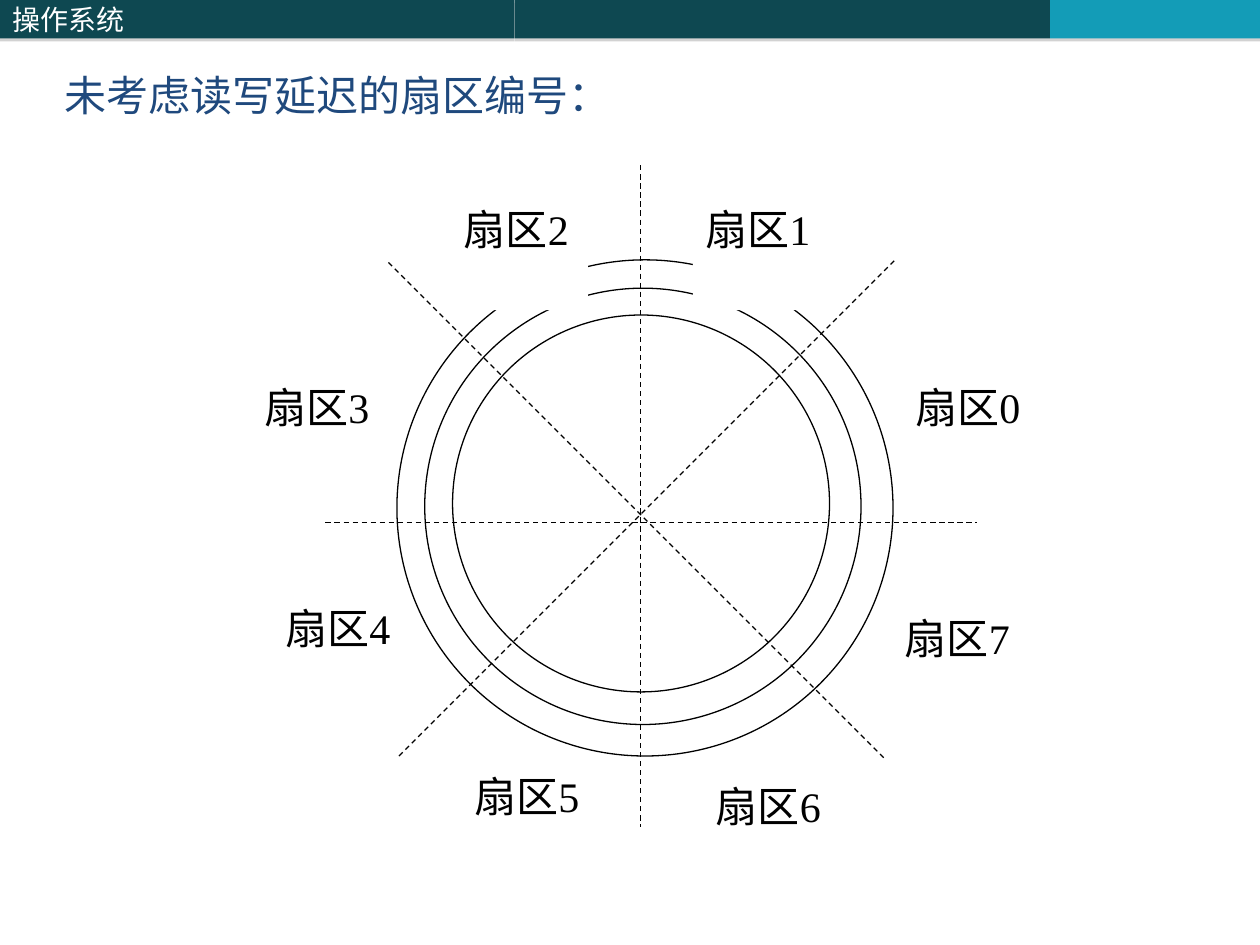
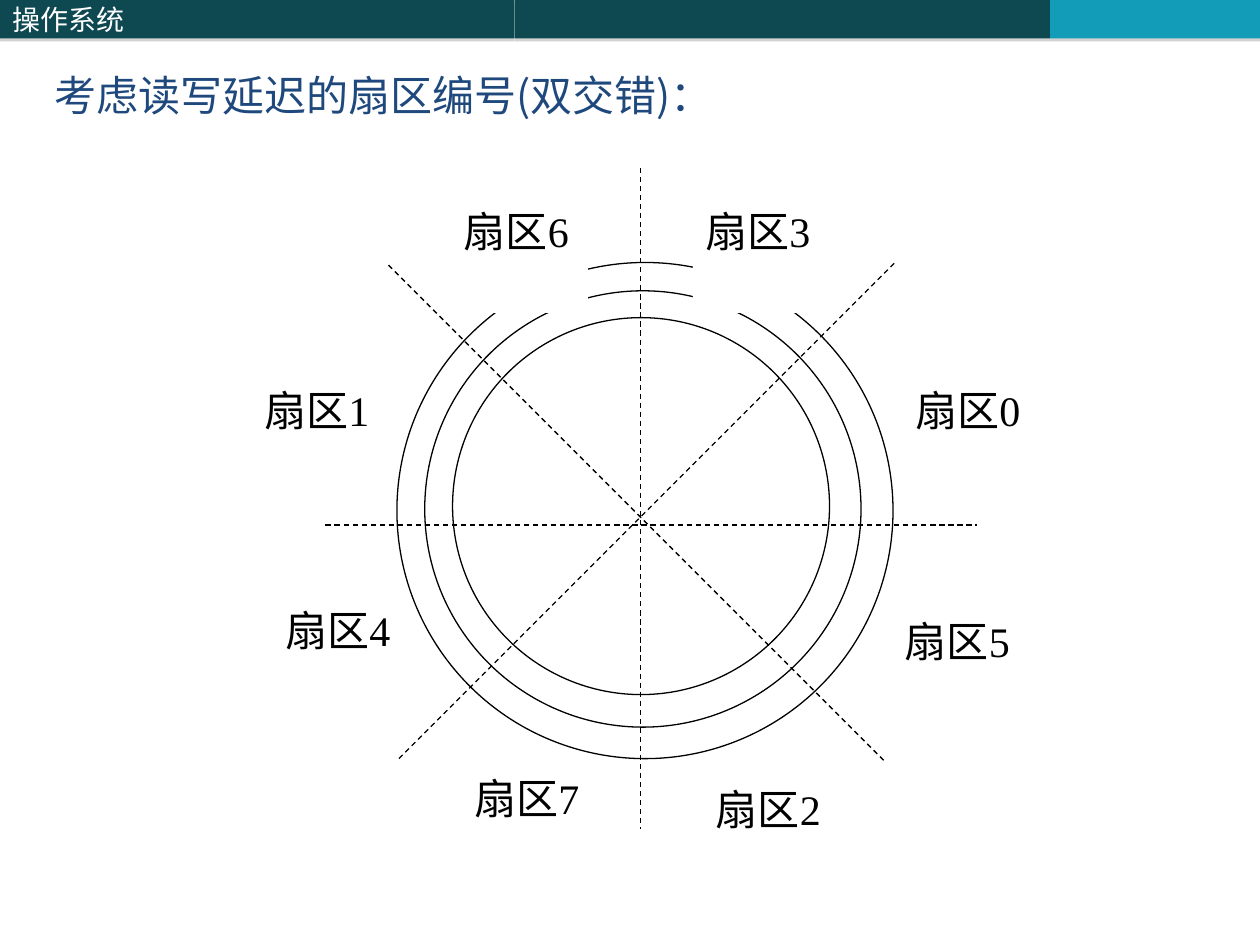
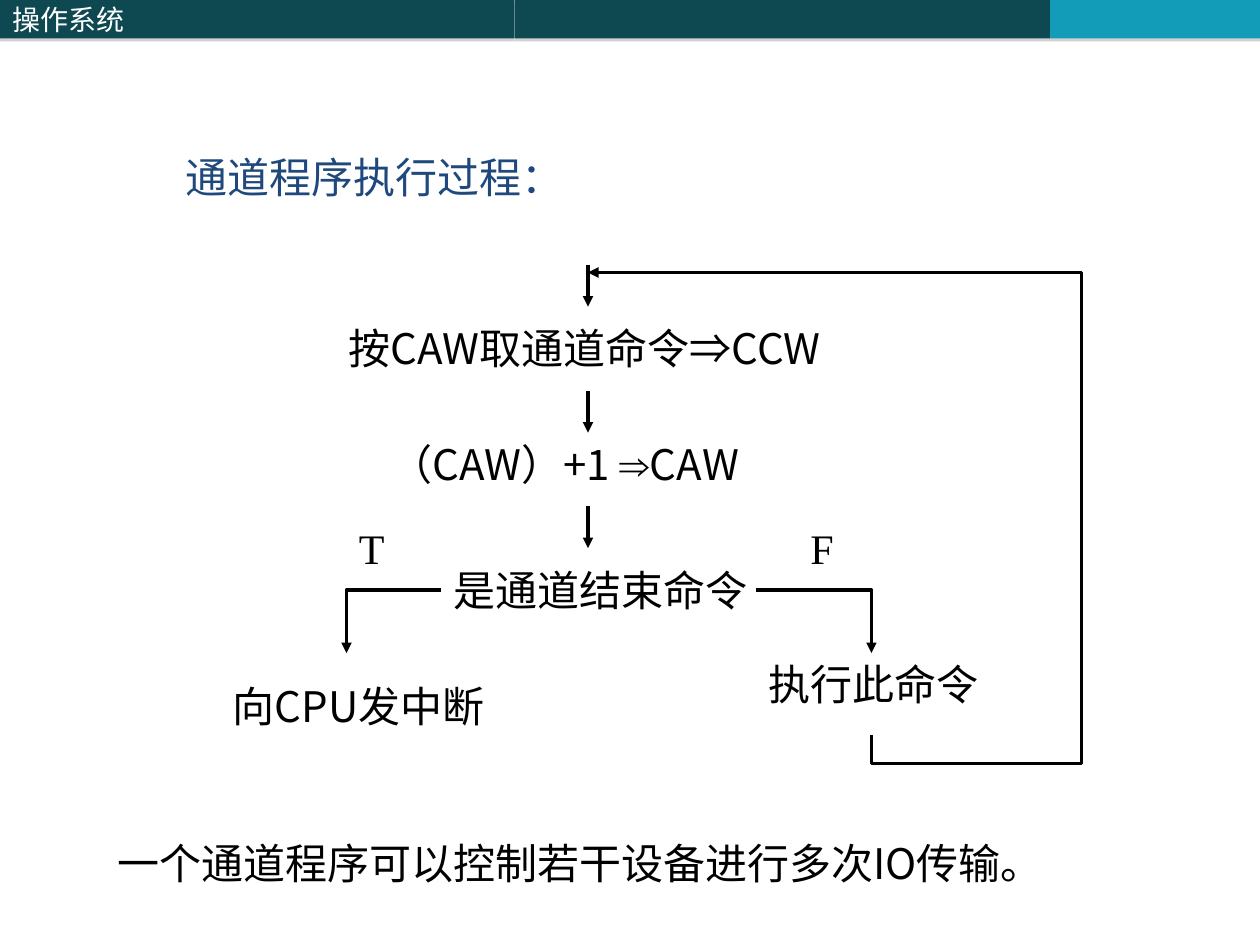
from dataclasses import dataclass
from typing import NamedTuple

from lxml.etree import SubElement
from pptx import Presentation
from pptx.dml.color import RGBColor
from pptx.enum.dml import MSO_LINE
from pptx.enum.shapes import MSO_CONNECTOR, MSO_SHAPE
from pptx.enum.text import MSO_ANCHOR, MSO_AUTO_SIZE
from pptx.oxml.ns import qn
from pptx.util import Inches, Pt

WIDTH, HEIGHT = Inches(10), Inches(7.5)
COLUMNS, ROWS = 120, 90


@dataclass(frozen=True)
class Theme:
    dark_band: str = "0E4851"
    bright_band: str = "139CB7"
    shadow: str = "808080"
    heading: str = "1F497D"
    ink: str = "000000"
    paper: str = "FFFFFF"
    sans: str = "Noto Sans CJK SC"
    serif: str = "Times New Roman"
    symbol: str = "Arial"
    body_size: float = 24
    band_size: float = 16
    thin: float = 0.75
    thick: float = 2


THEME = Theme()


class Point(NamedTuple):
    column: float
    row: float


class Area(NamedTuple):
    column: float
    row: float
    columns: float
    rows: float


class Band(NamedTuple):
    columns: float
    color: str
    text: str = ""


class Label(NamedTuple):
    text: str
    area: Area
    font: str = THEME.sans


BANDS = [
    Band(49, THEME.dark_band, "操作系统"),
    Band(51, THEME.dark_band),
    Band(20, THEME.bright_band),
]
BAND_ROWS = 3.65

# Tracks from the outside in
TRACKS = [
    Area(37.8, 25, 47.25, 47.25),
    Area(40.45, 27.7, 41.55, 41.55),
    Area(43.1, 30.25, 35.9, 35.9),
]
SECTOR_BORDERS = [
    (Point(37, 25.25), Point(84.25, 72.5)),
    (Point(38, 72.25), Point(85.25, 25)),
    (Point(61, 16), Point(61, 79)),
    (Point(31, 50), Point(93, 50)),
]
# Clockwise, starting right of the disk and above its middle
SECTOR_PLACES = [
    Point(86, 36), Point(85, 58), Point(67, 74), Point(44, 73),
    Point(26, 57), Point(24, 36), Point(43, 19), Point(66, 19),
]

FLOW_COLUMN = 56
STEP_ARROW_ROWS = [25.2, 37.2, 48.2]
STEP_ARROW_LENGTH = 4
BRANCH_ROW, BRANCH_END = 56.2, 62.2
TRUE_COLUMN, FALSE_COLUMN = 33, 83
LINE_ROWS = 6

FLOW_LABELS = [
    Label("按CAW取通道命令⇒CCW", Area(32, 30.15, 51, LINE_ROWS)),
    Label("（CAW）+1 ⇒CAW", Area(36, 41.15, 42, LINE_ROWS)),
    Label("是通道结束命令", Area(42, 53.15, 31, LINE_ROWS)),
    Label("执行此命令", Area(72, 62.15, 23, LINE_ROWS)),
    Label("向CPU发中断", Area(21, 64.2, 27, 10.8)),
    Label("一个通道程序可以控制若干设备进行多次IO传输。", Area(10, 79.2, 99, LINE_ROWS)),
    Label("T", Area(33, 49.2, 8, LINE_ROWS), THEME.serif),
    Label("F", Area(76, 49.2, 8, LINE_ROWS), THEME.serif),
]
FLOW_PATHS = [
    [Point(72, BRANCH_ROW), Point(FALSE_COLUMN, BRANCH_ROW), Point(FALSE_COLUMN, BRANCH_END)],
    [Point(42, BRANCH_ROW), Point(TRUE_COLUMN, BRANCH_ROW), Point(TRUE_COLUMN, BRANCH_END)],
    [Point(FALSE_COLUMN, 70), Point(FALSE_COLUMN, 72.7), Point(103, 72.7),
     Point(103, 25.95), Point(FLOW_COLUMN, 25.95)],
]


def place(point: Point) -> tuple[int, int]:
    return round(WIDTH * point.column / COLUMNS), round(HEIGHT * point.row / ROWS)


def bounds(area: Area) -> tuple[int, int, int, int]:
    return place(Point(area.column, area.row)) + place(Point(area.columns, area.rows))


def rgb(color: str) -> RGBColor:
    return RGBColor.from_string(color)


def write(box, text: str, *, font: str = THEME.sans, size: float = THEME.body_size,
          color: str = THEME.ink, anchor=MSO_ANCHOR.TOP, grow: bool = True) -> None:
    """Fill a box with one paragraph; double arrows get the symbol font."""
    frame = box.text_frame
    frame.word_wrap = True
    frame.vertical_anchor = anchor
    frame.auto_size = MSO_AUTO_SIZE.SHAPE_TO_FIT_TEXT if grow else MSO_AUTO_SIZE.NONE
    para = frame.paragraphs[0]
    para.alignment = 1
    before, arrow, after = text.partition("⇒")
    for part, face in ((before, font), (arrow, THEME.symbol), (after, font)):
        if not part:
            continue
        span = para.add_run()
        span.text = part
        span.font.name = face
        span.font.size = Pt(size)
        span.font.color.rgb = rgb(color)
        SubElement(span.font._element, qn("a:ea"), typeface=THEME.sans)


def add_text(page, text: str, area: Area, **style) -> None:
    write(page.shapes.add_textbox(*bounds(area)), text, **style)


def add_filled(shapes, kind, area: Area, fill: str, outline: str = ""):
    shape = shapes.add_shape(kind, *bounds(area))
    shape.shadow.inherit = False
    shape.fill.solid()
    shape.fill.fore_color.rgb = rgb(fill)
    if outline:
        shape.line.color.rgb = rgb(outline)
        shape.line.width = Pt(THEME.thin)
    else:
        shape.line.fill.background()
    return shape


def style_line(shape, width: float, dashed: bool = False, arrow: bool = False) -> None:
    shape.line.color.rgb = rgb(THEME.ink)
    shape.line.width = Pt(width)
    if dashed:
        shape.line.dash_style = MSO_LINE.DASH
    if arrow:
        outline = shape.element.spPr.find(qn("a:ln"))
        SubElement(outline, qn("a:tailEnd"), type="triangle")


def add_line(shapes, start: Point, end: Point, width: float, **style) -> None:
    line = shapes.add_connector(MSO_CONNECTOR.STRAIGHT, *place(start), *place(end))
    style_line(line, width, **style)
    SubElement(line.element.spPr, qn("a:effectLst"))


def add_bent_arrow(page, points: list[Point]) -> None:
    start, *corners = map(place, points)
    builder = page.shapes.build_freeform(*start)
    builder.add_line_segments(corners, close=False)
    arrow = builder.convert_to_shape()
    arrow.shadow.inherit = False
    arrow.fill.background()
    style_line(arrow, THEME.thick, arrow=True)


def add_band_shadow(shape) -> None:
    effects = shape.element.spPr.find(qn("a:effectLst"))
    shadow = SubElement(effects, qn("a:outerShdw"), dist=str(Pt(1.8)), dir="5400000",
                        algn="ctr", rotWithShape="0")
    color = SubElement(shadow, qn("a:srgbClr"), val=THEME.shadow)
    SubElement(color, qn("a:alpha"), val="35000")


def move_bands_to_master(deck, page) -> None:
    """Draw the top bands on a page, then hand them to the master all pages share."""
    column = 0
    for number, band in enumerate(BANDS):
        area = Area(column, 0, band.columns, BAND_ROWS)
        shape = add_filled(page.shapes, MSO_SHAPE.RECTANGLE, area, band.color)
        add_band_shadow(shape)
        if band.text:
            write(shape, band.text, size=THEME.band_size, color=THEME.paper,
                  anchor=MSO_ANCHOR.MIDDLE, grow=False)
        shape.element.nvSpPr.cNvPr.set("id", str(100 + number))
        deck.slide_master.shapes.element.append(shape.element)
        column += band.columns


def add_heading(page, text: str, area: Area) -> None:
    add_text(page, text, area, color=THEME.heading)


def draw_disk(page, sectors: list[int], shift: float = 0) -> None:
    """Draw the disk with its clockwise sector numbers, moved down by shift rows."""
    def lower(item):
        return item._replace(row=item.row + shift)

    shapes = page.shapes.add_group_shape().shapes
    for track in TRACKS:
        add_filled(shapes, MSO_SHAPE.OVAL, lower(track), THEME.paper, THEME.ink)
    for start, end in SECTOR_BORDERS:
        add_line(shapes, lower(start), lower(end), THEME.thin, dashed=True)
    for number, corner in zip(sectors, SECTOR_PLACES):
        area = Area(*lower(corner), 13, 10.8)
        box = add_filled(shapes, MSO_SHAPE.RECTANGLE, area, THEME.paper)
        write(box, f"扇区{number}", font=THEME.serif)


def draw_channel_flow(page) -> None:
    for label in FLOW_LABELS:
        add_text(page, label.text, label.area, font=label.font)
    for row in STEP_ARROW_ROWS:
        add_line(page.shapes, Point(FLOW_COLUMN, row),
                 Point(FLOW_COLUMN, row + STEP_ARROW_LENGTH), THEME.thick, arrow=True)
    for points in FLOW_PATHS:
        add_bent_arrow(page, points)


def main() -> None:
    deck = Presentation()
    deck.slide_width, deck.slide_height = WIDTH, HEIGHT
    blank = deck.slide_layouts[6]
    plain, interleaved, channel = (deck.slides.add_slide(blank) for _ in range(3))
    move_bands_to_master(deck, plain)

    add_heading(plain, "未考虑读写延迟的扇区编号：", Area(5, 6, 104, LINE_ROWS))
    draw_disk(plain, [0, 7, 6, 5, 4, 3, 2, 1], shift=-0.25)

    draw_disk(interleaved, [0, 5, 2, 7, 4, 1, 6, 3])
    add_heading(interleaved, "考虑读写延迟的扇区编号(双交错)：", Area(4, 6, 104, LINE_ROWS))

    add_heading(channel, "通道程序执行过程：", Area(16.5, 13.8, 67, LINE_ROWS))
    draw_channel_flow(channel)

    deck.save("out.pptx")


if __name__ == "__main__":
    main()
